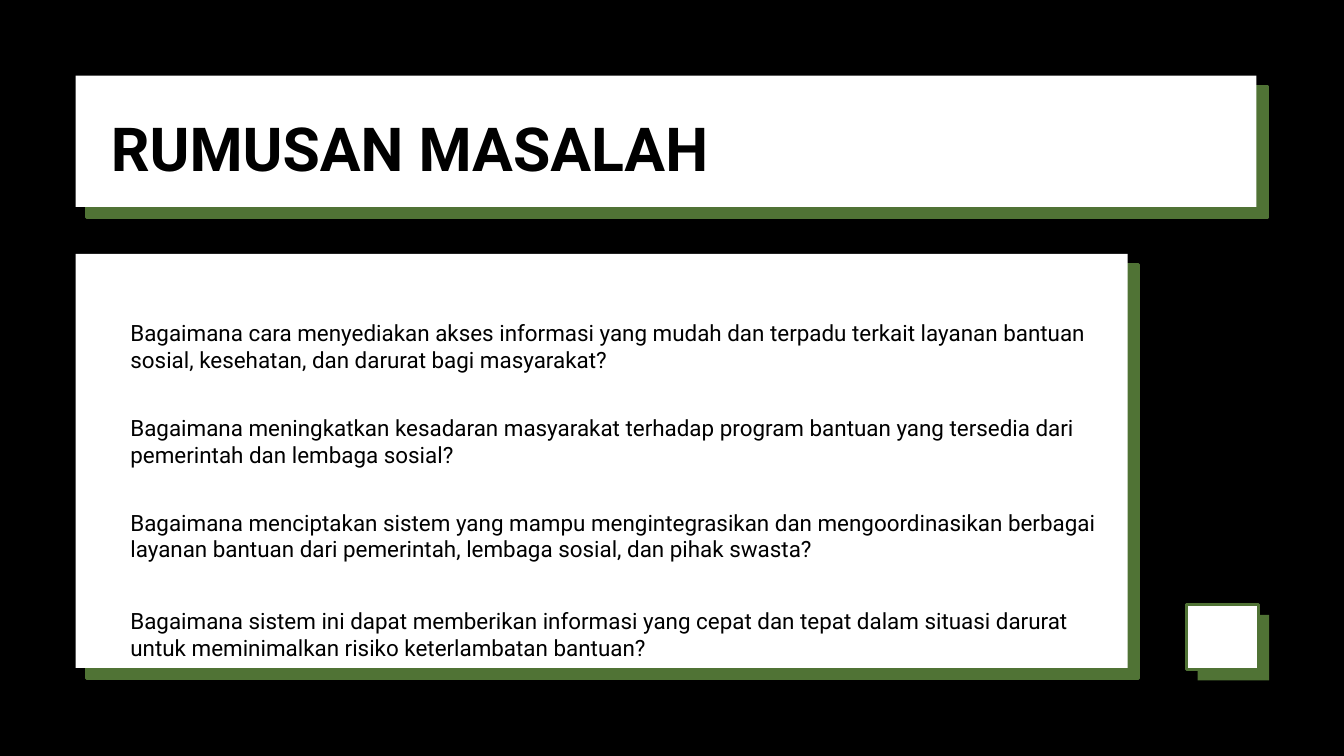
from pptx import Presentation
from pptx.dml.color import RGBColor as RGB
from pptx.enum.shapes import MSO_SHAPE as Shape
from pptx.enum.text import MSO_AUTO_SIZE as Fit
from pptx.util import Inches, Pt

COLORS = {"back": "000000", "ink": "000000", "card": "FFFFFF", "shade": "507335"}
FONT = "Roboto"
CELL = 0.25  # inches; the slide is a grid of 80 columns by 45 rows
COLS, ROWS = 80, 45
DROP = 0.64  # offset of a card's shade, in cells
EDGE = 3.25  # points

TITLE = "RUMUSAN MASALAH"
ITEMS = [
    "Bagaimana cara menyediakan akses informasi yang mudah dan terpadu terkait "
    "layanan bantuan sosial, kesehatan, dan darurat bagi masyarakat?",
    "Bagaimana meningkatkan kesadaran masyarakat terhadap program bantuan yang "
    "tersedia dari pemerintah dan lembaga sosial?",
    "Bagaimana menciptakan sistem yang mampu mengintegrasikan dan "
    "mengoordinasikan berbagai layanan bantuan dari pemerintah, lembaga sosial, "
    "dan pihak swasta?",
    "Bagaimana sistem ini dapat memberikan informasi yang cepat dan tepat dalam "
    "situasi darurat untuk meminimalkan risiko keterlambatan bantuan?",
]


def cells(*counts):
    return [Inches(n * CELL) for n in counts]


def color(name):
    return RGB.from_string(COLORS[name])


def add_rect(slide, box, fill, edged):
    rect = slide.shapes.add_shape(Shape.RECTANGLE, *cells(*box))
    rect.shadow.inherit = False
    rect.fill.solid()
    rect.fill.fore_color.rgb = color(fill)
    if edged:
        rect.line.color.rgb = color("shade")
        rect.line.width = Pt(EDGE)
    else:
        rect.line.fill.background()


def add_card(slide, box, edge="shade"):
    """Place a white card over its shade; edge names the layer with an outline."""
    x, y, w, h = box
    add_rect(slide, (x + DROP, y + DROP, w, h), "shade", edge == "shade")
    add_rect(slide, box, "card", edge == "card")


def add_text(slide, box, text, size, bold=False):
    frame = slide.shapes.add_textbox(*cells(*box)).text_frame
    frame.margin_left = frame.margin_right = 0
    frame.margin_top = frame.margin_bottom = 0
    frame.word_wrap = True
    frame.auto_size = Fit.SHAPE_TO_FIT_TEXT
    frame.text = text
    para = frame.paragraphs[0]
    para.line_spacing = Pt(size * 1.2)
    font = para.runs[0].font
    font.name, font.size, font.bold = FONT, Pt(size), bold
    font.color.rgb = color("ink")


def add_header(slide, box):
    x, y, w, h = box
    add_card(slide, box)
    add_text(slide, (x + 2.1, y + 2.1, w - 3.44, 4.32), TITLE, 65, bold=True)


def add_body(slide, box):
    x, y, w, h = box
    add_card(slide, box)
    step = 5.64
    for i, item in enumerate(ITEMS):
        top = y + 3.88 + i * step
        if i == len(ITEMS) - 1:
            top += 0.2  # the last question sits slightly lower
        add_text(slide, (x + 3.26, top, w - 3.84, 3.2), item, 24)


def main():
    deck = Presentation()
    deck.slide_width, deck.slide_height = cells(COLS, ROWS)
    slide = deck.slides.add_slide(deck.slide_layouts[6])
    slide.background.fill.solid()
    slide.background.fill.fore_color.rgb = color("back")
    add_header(slide, (4.5, 4.5, 70.28, 7.82))
    add_body(slide, (4.5, 15.12, 62.62, 24.64))
    add_card(slide, (70.64, 35.96, 4.26, 3.9), edge="card")
    deck.save("out.pptx")


if __name__ == "__main__":
    main()
